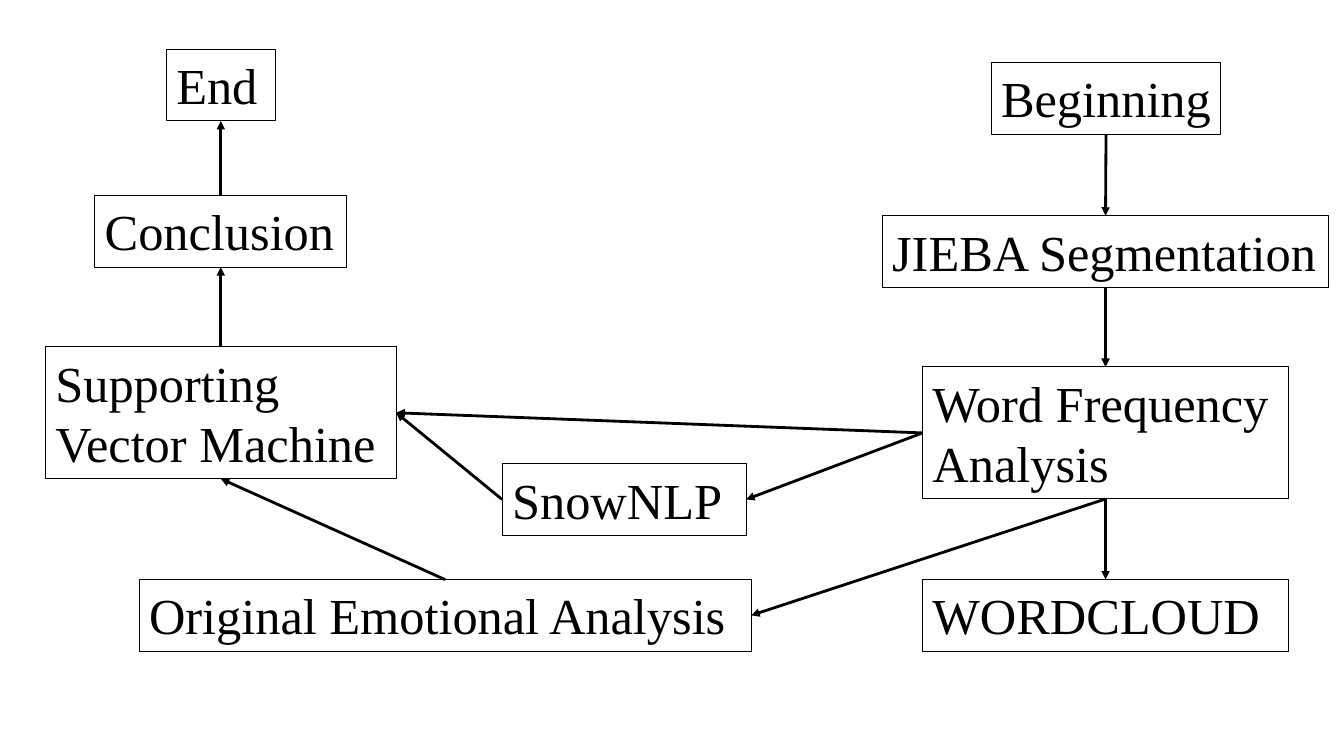
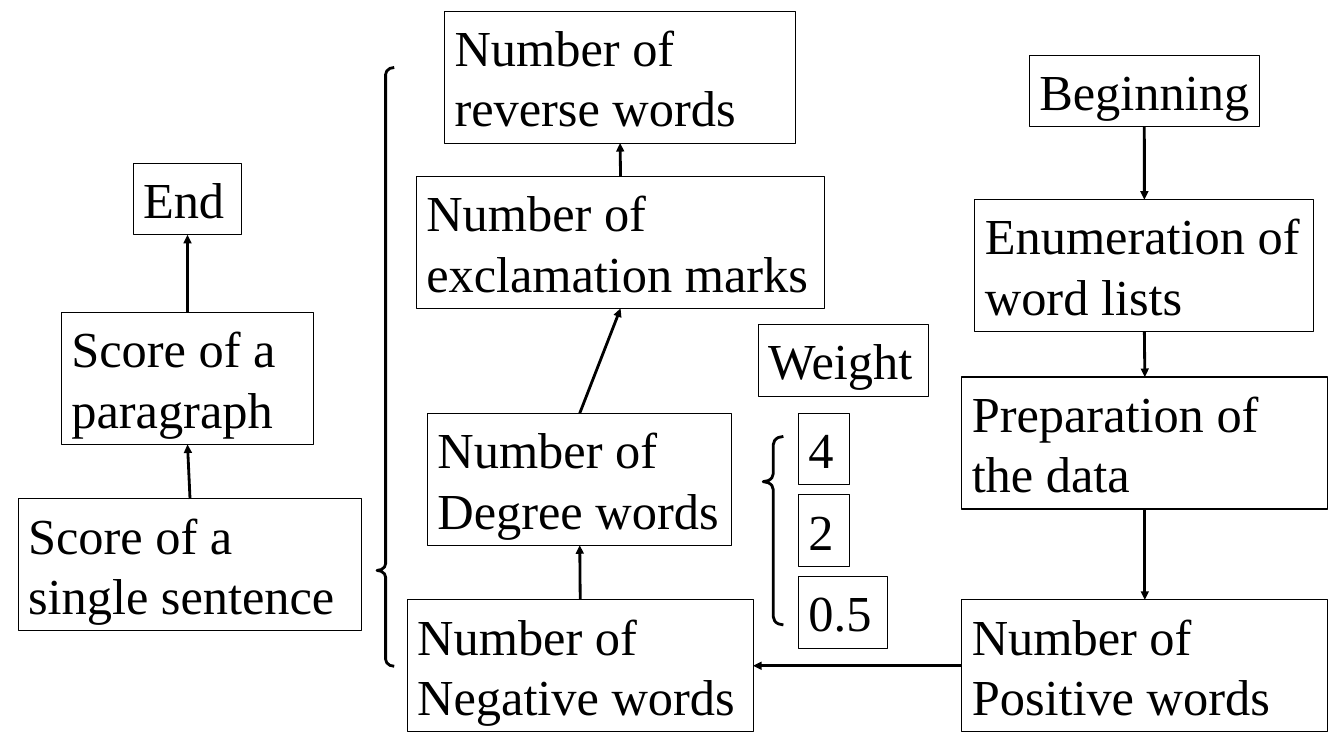
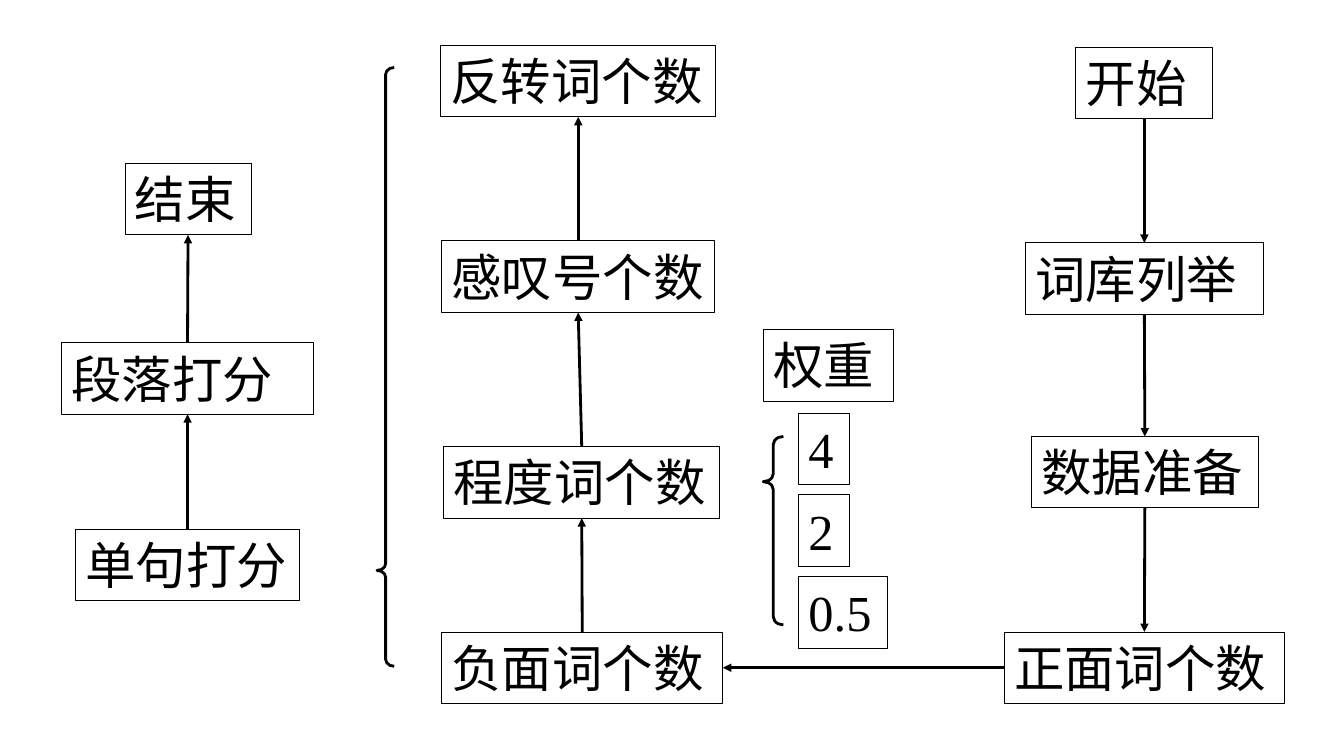
from lxml import etree
from pptx import Presentation
from pptx import util as u
from pptx.dml.color import RGBColor
from pptx.enum import shapes, text
from pptx.oxml import ns

BLACK = RGBColor(0x00, 0x00, 0x00)
WHITE = RGBColor(0xFF, 0xFF, 0xFF)
FONT = {"name": "Times New Roman", "size": u.Pt(36)}
FRAME = {"word_wrap": True, "auto_size": text.MSO_AUTO_SIZE.SHAPE_TO_FIT_TEXT,
         "vertical_anchor": text.MSO_ANCHOR.TOP}
BOX_LINE, FLOW_LINE = 0.75, 2
HEIGHTS = {1: 0.71, 2: 1.31}
TOP, LEFT, BOTTOM, RIGHT = range(4)
DOWN, UP, WEST = (BOTTOM, TOP), (TOP, BOTTOM), (LEFT, RIGHT)

WEIGHTS = [
    ("4", 7.92, 4.1, 0.51, 1),
    ("2", 7.92, 4.91, 0.51, 1),
    ("0.5", 7.92, 5.72, 0.88, 1),
]
BRACES = [
    (3.74, 0.67, 0.17, 5.94, (0.4, 0.84)),
    (7.57, 4.33, 0.2, 1.87, (0.4, 0.24)),
]

DIAGRAMS = [
    {
        "steps": [
            ("Beginning", 9.83, 0.62, 2.28, 1),
            ("JIEBA Segmentation", 8.75, 2.14, 4.43, 1),
            ("Word Frequency Analysis", 9.15, 3.64, 3.63, 2),
            ("WORDCLOUD", 9.15, 5.75, 3.63, 1),
            ("SnowNLP", 4.98, 4.6, 2.42, 1),
            ("Original Emotional Analysis", 1.38, 5.75, 6.07, 1),
            ("Supporting Vector Machine", 0.45, 3.44, 3.48, 2),
            ("Conclusion", 0.94, 1.94, 2.5, 1),
            ("End", 1.65, 0.49, 1.08, 1),
        ],
        "braces": [],
        "flows": [
            (DOWN, ["Beginning", "JIEBA Segmentation",
                    "Word Frequency Analysis", "WORDCLOUD"]),
            (WEST, ["Word Frequency Analysis", "SnowNLP",
                    "Supporting Vector Machine"]),
            (WEST, ["Word Frequency Analysis", "Supporting Vector Machine"]),
            ((BOTTOM, RIGHT), ["Word Frequency Analysis",
                               "Original Emotional Analysis"]),
            (UP, ["Original Emotional Analysis", "Supporting Vector Machine",
                  "Conclusion", "End"]),
        ],
    },
    {
        "steps": [
            ("Beginning", 10.21, 0.55, 2.28, 1),
            ("Enumeration of word lists", 9.67, 1.98, 3.36, 2),
            ("Preparation of the data", 9.54, 3.74, 3.63, 2),
            ("Number of Positive words", 9.54, 5.95, 3.63, 2),
            ("Number of Negative words", 4.04, 5.95, 3.43, 2),
            ("Number of Degree words", 4.24, 4.1, 3.02, 2),
            ("Number of exclamation marks", 4.13, 1.75, 4.05, 2),
            ("Number of reverse words", 4.41, 0.11, 3.48, 2),
            ("Score of a single sentence", 0.18, 4.95, 3.41, 2),
            ("Score of a paragraph", 0.61, 3.1, 2.5, 2),
            ("End", 1.32, 1.62, 1.08, 1),
            ("Weight", 7.52, 3.22, 1.69, 1),
        ] + WEIGHTS,
        "braces": BRACES,
        "flows": [
            (DOWN, ["Beginning", "Enumeration of word lists",
                    "Preparation of the data", "Number of Positive words"]),
            (WEST, ["Number of Positive words", "Number of Negative words"]),
            (UP, ["Number of Negative words", "Number of Degree words",
                  "Number of exclamation marks", "Number of reverse words"]),
            (UP, ["Score of a single sentence", "Score of a paragraph", "End"]),
        ],
    },
    {
        "steps": [
            ("开始", 10.67, 0.47, 1.36, 1),
            ("词库列举", 10.17, 2.41, 2.36, 1),
            ("数据准备", 10.23, 4.33, 2.25, 1),
            ("正面词个数", 9.96, 6.27, 2.78, 1),
            ("负面词个数", 4.38, 6.27, 2.79, 1),
            ("程度词个数", 4.4, 4.43, 2.74, 1),
            ("感叹号个数", 4.38, 2.39, 2.71, 1),
            ("反转词个数", 4.37, 0.45, 2.73, 1),
            ("单句打分", 0.75, 5.25, 2.22, 1),
            ("段落打分", 0.61, 3.4, 2.5, 1),
            ("结束", 1.24, 1.62, 1.25, 1),
            ("权重", 7.57, 3.27, 1.29, 1),
        ] + WEIGHTS,
        "braces": BRACES,
        "flows": [
            (DOWN, ["开始", "词库列举", "数据准备", "正面词个数"]),
            (WEST, ["正面词个数", "负面词个数"]),
            (UP, ["负面词个数", "程度词个数", "感叹号个数", "反转词个数"]),
            (UP, ["单句打分", "段落打分", "结束"]),
        ],
    },
]


def apply(target, values):
    for name, value in values.items():
        setattr(target, name, value)


def draw_line(line, width):
    line.color.rgb = BLACK
    line.width = u.Pt(width)


def add_outline(slide, preset, place, width):
    outline = slide.shapes.add_shape(preset, *map(u.Inches, place))
    outline.shadow.inherit = False
    outline.fill.background()
    draw_line(outline.line, width)
    return outline


def add_step(slide, label, left, top, width, rows):
    step = add_outline(slide, shapes.MSO_SHAPE.RECTANGLE,
                       (left, top, width, HEIGHTS[rows]), BOX_LINE)
    apply(step.text_frame, FRAME)
    paragraph = step.text_frame.paragraphs[0]
    paragraph.alignment = text.PP_ALIGN.LEFT
    run = paragraph.add_run()
    run.text = label
    apply(run.font, FONT)
    run.font.color.rgb = BLACK
    return step


def add_brace(slide, left, top, width, height, bends):
    brace = add_outline(slide, shapes.MSO_SHAPE.LEFT_BRACE,
                        (left, top, width, height), FLOW_LINE)
    for index, bend in enumerate(bends):
        brace.adjustments[index] = bend


def add_arrow(slide, source, target, sides):
    arrow = slide.shapes.add_connector(shapes.MSO_CONNECTOR.STRAIGHT, 0, 0, 0, 0)
    arrow.begin_connect(source, sides[0])
    arrow.end_connect(target, sides[1])
    draw_line(arrow.line, FLOW_LINE)
    properties = arrow.element.spPr
    etree.SubElement(properties.find(ns.qn("a:ln")), ns.qn("a:tailEnd"), type="triangle")
    etree.SubElement(properties, ns.qn("a:effectLst"))


deck = Presentation()
apply(deck, {"slide_width": u.Inches(13.33), "slide_height": u.Inches(7.5)})
for diagram in DIAGRAMS:
    slide = deck.slides.add_slide(deck.slide_layouts[6])
    slide.background.fill.solid()
    slide.background.fill.fore_color.rgb = WHITE
    steps = {step[0]: add_step(slide, *step) for step in diagram["steps"]}
    for brace in diagram["braces"]:
        add_brace(slide, *brace)
    for sides, chain in diagram["flows"]:
        for source, target in zip(chain, chain[1:]):
            add_arrow(slide, steps[source], steps[target], sides)
deck.save("out.pptx")
